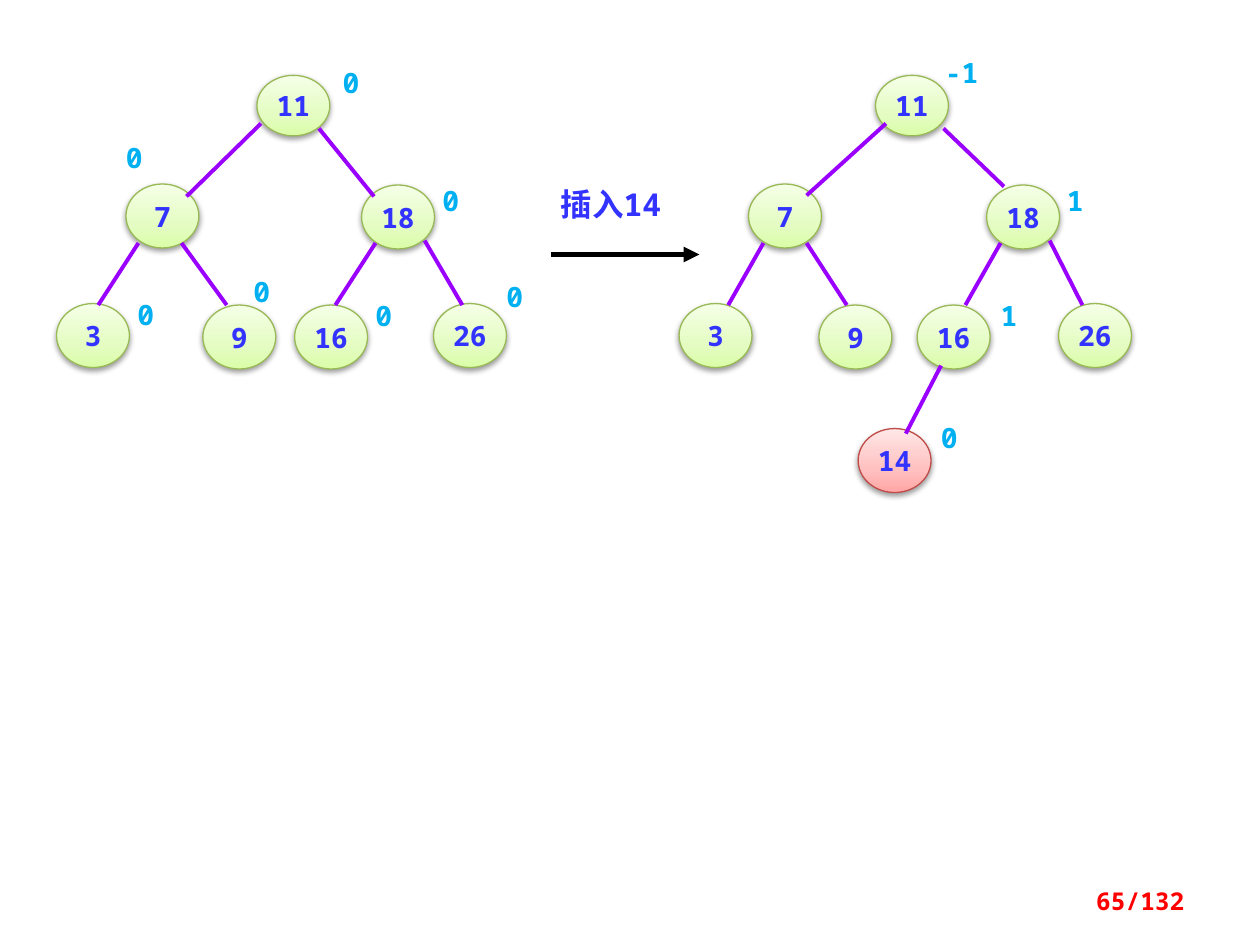
import pptx
import pptx.dml.color
import pptx.enum.shapes
import pptx.enum.text
import pptx.oxml
import pptx.oxml.ns
import pptx.util
from pptx.util import Cm

COLORS = {
    "key": "3333FF", "balance": "00B0F0", "edge": "9900FF",
    "arrow": "000000", "page": "FF0000", "shadow": "000000",
}
NODE_STYLES = {
    "existing": {"stops": ("DAFDA7", "E4FCC2", "F5FFE7"), "line": "98B955"},
    "inserted": {"stops": ("FFA6A5", "FFC0BF", "FFE7E7"), "line": "BF4C48"},
}
FONT = "Noto Sans Mono"
NODE_WIDTH, NODE_HEIGHT, ROOT_HEIGHT = 1.47, 1.29, 1.22
NODE_TOPS = {11: 1.52, 7: 3.71, 18: 3.73, 3: 6.12, 9: 6.15, 16: 6.15, 26: 6.12, 14: 8.64}

BEFORE = {
    "lefts": {11: 5.18, 7: 2.54, 18: 7.29, 3: 1.14, 9: 4.09, 16: 5.94, 26: 8.74},
    "edges": [
        (5.26, 2.49, 3.76, 3.96), (6.43, 2.59, 7.54, 3.96),
        (2.79, 4.9, 1.98, 6.15), (3.66, 4.9, 4.57, 6.15),
        (7.57, 4.9, 6.76, 6.15), (8.56, 4.85, 9.32, 6.15),
    ],
    "balances": [
        ("0", 6.91, 1.32), ("0", 2.54, 2.84), ("0", 8.92, 3.71), ("0", 2.77, 5.99),
        ("0", 5.11, 5.54), ("0", 7.57, 6.02), ("0", 10.21, 5.64),
    ],
}
AFTER = {
    "lefts": {11: 17.65, 7: 15.09, 18: 19.89, 3: 13.69, 9: 16.51, 16: 18.49, 26: 21.34, 14: 17.3},
    "edges": [
        (17.86, 2.49, 16.26, 3.94), (19.02, 2.59, 20.24, 3.76),
        (15.39, 4.9, 14.68, 6.15), (16.26, 4.9, 17.07, 6.15),
        (20.17, 4.9, 19.46, 6.15), (21.16, 4.85, 21.82, 6.15),
        (18.97, 7.37, 18.26, 8.74),
    ],
    "balances": [("-1", 19.05, 1.12), ("1", 21.51, 3.71), ("1", 20.17, 6.02), ("0", 18.97, 8.48)],
}


def rgb(value):
    return pptx.dml.color.RGBColor.from_string(value)


def add_xml(parent, xml):
    namespace = pptx.oxml.ns.nsdecls("a")
    parent.append(pptx.oxml.parse_xml(xml.replace(" ", f" {namespace} ", 1)))


def write(frame, text, size, color, align=pptx.enum.text.PP_ALIGN.LEFT, margin=0):
    frame.word_wrap = True
    frame.margin_left = frame.margin_right = Cm(margin)
    frame.margin_top = frame.margin_bottom = Cm(margin / 2)
    paragraph = frame.paragraphs[0]
    paragraph.text = text
    paragraph.alignment = align
    paragraph.font.name = FONT
    paragraph.font.size = pptx.util.Pt(size)
    paragraph.font.bold = True
    paragraph.font.color.rgb = rgb(color)


def add_label(slide, text, left, top, width, height, size, color, **layout):
    label = slide.shapes.add_textbox(Cm(left), Cm(top), Cm(width), Cm(height))
    write(label.text_frame, text, size, color, **layout)
    return label


def add_line(slide, ends, color, width):
    line = slide.shapes.add_connector(
        pptx.enum.shapes.MSO_CONNECTOR.STRAIGHT, *(Cm(value) for value in ends))
    line.line.color.rgb = rgb(color)
    line.line.width = pptx.util.Pt(width)
    add_xml(line._element.spPr, "<a:effectLst />")
    return line


def add_node(slide, key, left):
    style = NODE_STYLES["inserted" if key == 14 else "existing"]
    height = ROOT_HEIGHT if key == 11 else NODE_HEIGHT
    node = slide.shapes.add_shape(
        pptx.enum.shapes.MSO_SHAPE.OVAL, Cm(left), Cm(NODE_TOPS[key]), Cm(NODE_WIDTH), Cm(height))
    properties = node._element.spPr
    stops = "".join(
        f'<a:gs pos="{position}"><a:srgbClr val="{color}"/></a:gs>'
        for position, color in zip((0, 35000, 100000), style["stops"]))
    add_xml(properties, f'<a:gradFill rotWithShape="1"><a:gsLst>{stops}</a:gsLst>'
                        '<a:lin ang="16200000" scaled="1"/></a:gradFill>')
    node.line.color.rgb = rgb(style["line"])
    node.line.width = pptx.util.Pt(0.75)
    add_xml(properties, '<a:effectLst ><a:outerShdw blurRad="40000" dist="20000" dir="5400000" '
                        f'rotWithShape="0"><a:srgbClr val="{COLORS["shadow"]}">'
                        '<a:alpha val="38000"/></a:srgbClr></a:outerShdw></a:effectLst>')
    node.text_frame.vertical_anchor = pptx.enum.text.MSO_ANCHOR.MIDDLE
    write(node.text_frame, str(key), 16, COLORS["key"], pptx.enum.text.PP_ALIGN.CENTER)


def add_tree(slide, tree):
    for key, left in tree["lefts"].items():
        add_node(slide, key, left)
    for ends in tree["edges"]:
        add_line(slide, ends, COLORS["edge"], 2.25)
    for balance, left, top in tree["balances"]:
        width = 0.69 * len(balance)
        add_label(slide, balance, left, top, width, 0.84, 16, COLORS["balance"])


def add_insertion(slide):
    arrow = add_line(slide, (11.1, 5.13, 14.1, 5.13), COLORS["arrow"], 3)
    add_xml(arrow.line._get_or_add_ln(), '<a:tailEnd type="triangle"/>')
    add_label(slide, "插入14", 11.3, 3.73, 2.59, 0.84, 18, COLORS["key"])


def add_page_number(slide):
    page = add_label(slide, "65/132", 18.21, 17.65, 5.92, 1.02, 14, COLORS["page"],
                     align=pptx.enum.text.PP_ALIGN.RIGHT, margin=0.25)
    page.text_frame.vertical_anchor = pptx.enum.text.MSO_ANCHOR.MIDDLE


def main():
    deck = pptx.Presentation()
    deck.slide_width, deck.slide_height = Cm(25.4), Cm(19.05)
    slide = deck.slides.add_slide(deck.slide_layouts[6])
    add_tree(slide, BEFORE)
    add_insertion(slide)
    add_tree(slide, AFTER)
    add_page_number(slide)
    deck.save("out.pptx")


if __name__ == "__main__":
    main()
